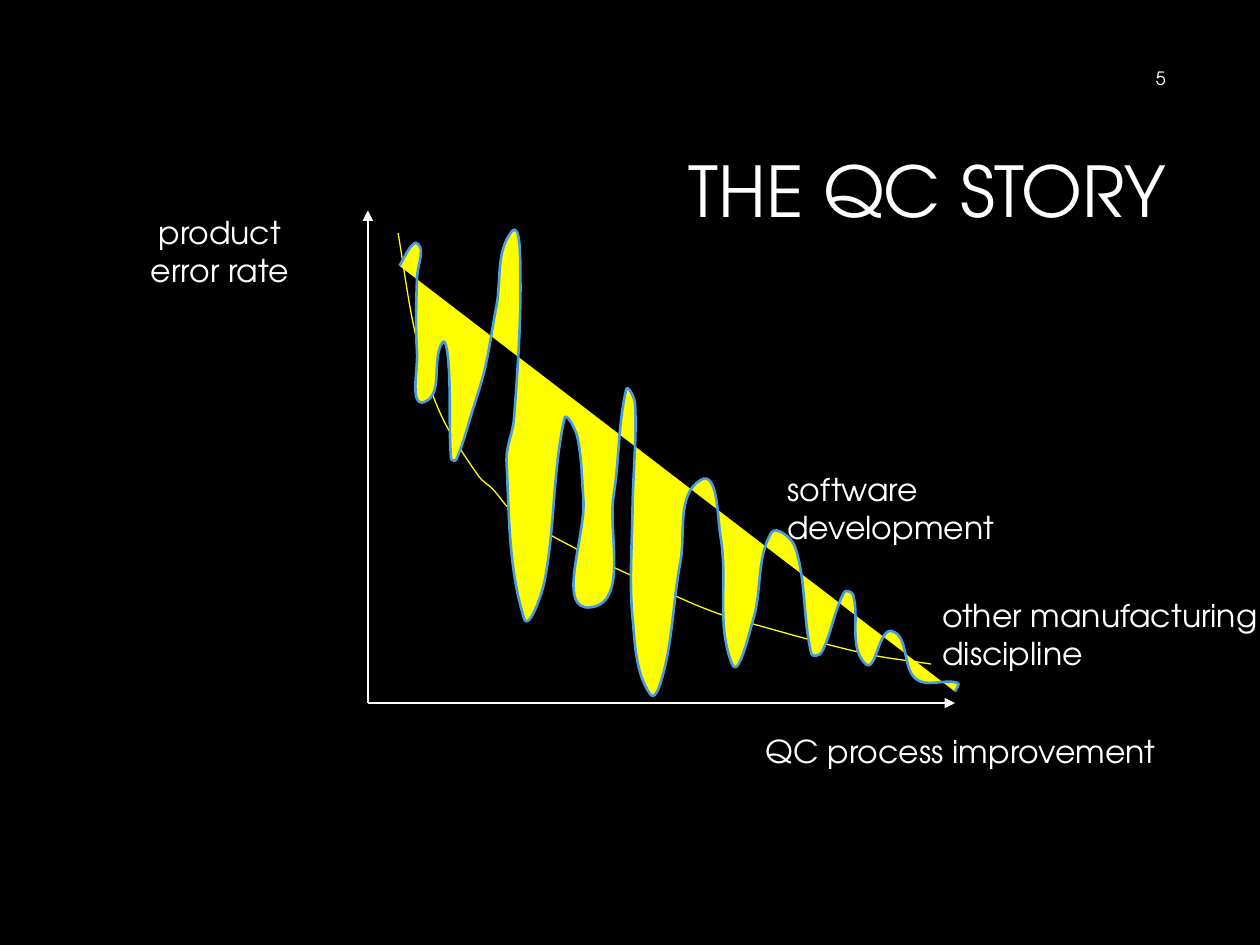
from math import dist

from lxml.etree import SubElement
from pptx import Presentation
from pptx.dml.color import RGBColor
from pptx.enum.shapes import MSO_CONNECTOR
from pptx.enum.text import MSO_ANCHOR, PP_ALIGN
from pptx.oxml.ns import qn
from pptx.util import Inches, Pt

BLACK = RGBColor(0x00, 0x00, 0x00)
WHITE = RGBColor(0xFF, 0xFF, 0xFF)
YELLOW = RGBColor(0xFF, 0xFF, 0x00)
BLUE = RGBColor(0x4A, 0x9B, 0xDC)
FONT = "TeX Gyre Adventor"

MANUFACTURING_CURVE = [
    (3.16, 1.85), (3.3, 2.66), (3.49, 3.27), (3.8, 3.78), (3.91, 3.88), (4.08, 4.07),
    (4.62, 4.38), (5.04, 4.58), (5.62, 4.84), (6.04, 4.97), (6.88, 5.19), (7.39, 5.27),
]
SOFTWARE_CURVE = [
    (3.17, 2.11), (3.29, 1.93), (3.34, 1.98), (3.31, 2.2), (3.31, 2.8), (3.37, 3.19),
    (3.51, 2.72), (3.56, 2.89), (3.58, 3.64), (3.62, 3.65), (3.75, 3.26), (3.85, 2.92),
    (3.94, 2.43), (4.06, 1.84), (4.13, 2.19), (4.08, 3.32), (4.02, 3.66), (4.16, 4.91),
    (4.32, 4.62), (4.48, 3.32), (4.58, 3.46), (4.63, 3.96), (4.69, 4.82), (4.87, 3.93),
    (4.97, 3.09), (5.04, 3.2), (5.02, 4.04), (5.02, 4.9), (5.16, 5.51), (5.28, 5.28),
    (5.4, 4.46), (5.56, 3.81), (5.72, 4.27), (5.81, 5.27), (5.98, 4.91), (6.12, 4.23),
    (6.31, 4.34), (6.44, 5.19), (6.52, 5.18), (6.7, 4.7), (6.77, 4.72), (6.87, 5.27),
    (7.08, 5.01), (7.27, 5.39), (7.6, 5.42), (7.58, 5.49),
]

presentation = Presentation()
presentation.slide_width = Inches(10)
presentation.slide_height = Inches(7.5)
slide = presentation.slides.add_slide(presentation.slide_layouts[6])
slide.background.fill.solid()
slide.background.fill.fore_color.rgb = BLACK


def add_label(lines, left, top, width, height, size=18, align=PP_ALIGN.LEFT,
              anchor=MSO_ANCHOR.TOP, wrap=True, spacing=None):
    box = slide.shapes.add_textbox(Inches(left), Inches(top), Inches(width), Inches(height))
    frame = box.text_frame
    frame.word_wrap = wrap
    frame.vertical_anchor = anchor
    frame.text = "\n".join(lines)
    for paragraph in frame.paragraphs:
        paragraph.alignment = align
        paragraph.line_spacing = spacing
        paragraph.font.name = FONT
        paragraph.font.size = Pt(size)
        paragraph.font.color.rgb = WHITE


def add_curve(points, line_color, line_width, fill_color=None):
    padded = [points[0], *points, points[-1]]
    vertices = []
    for before, start, end, after in zip(padded, padded[1:], padded[2:], padded[3:]):
        reach = dist(start, end) / 3
        leave = reach / dist(before, end)
        arrive = reach / dist(start, after)
        vertices += [
            [s + (e - b) * leave for b, s, e in zip(before, start, end)],
            [e - (a - s) * arrive for s, e, a in zip(start, end, after)],
            end,
        ]
    builder = slide.shapes.build_freeform(Inches(points[0][0]), Inches(points[0][1]))
    builder.add_line_segments([(Inches(x), Inches(y)) for x, y in vertices], close=False)
    shape = builder.convert_to_shape()
    shape.shadow.inherit = False
    shape.line.color.rgb = line_color
    shape.line.width = Pt(line_width)
    if fill_color is None:
        shape.fill.background()
    else:
        shape.fill.solid()
        shape.fill.fore_color.rgb = fill_color
    outline = next(shape.element.iter(qn("a:path")))
    segments = outline.findall(qn("a:lnTo"))
    for first in range(0, len(segments), 3):
        bezier = SubElement(outline, qn("a:cubicBezTo"))
        for segment in segments[first:first + 3]:
            bezier.append(segment[0])
            outline.remove(segment)


add_label(["THE QC STORY"], 2.38, 0.84, 6.97, 1.41, 40, PP_ALIGN.RIGHT,
          MSO_ANCHOR.MIDDLE, spacing=0.9)
add_label(["5"], 7.19, 0.42, 2.16, 0.4, 10.5, PP_ALIGN.RIGHT, MSO_ANCHOR.MIDDLE)

for end_x, end_y in [(7.58, 5.58), (2.92, 1.67)]:
    axis = slide.shapes.add_connector(
        MSO_CONNECTOR.STRAIGHT, Inches(2.92), Inches(5.58), Inches(end_x), Inches(end_y))
    axis.line.color.rgb = WHITE
    axis.line.width = Pt(0.75)
    properties = axis.element.spPr
    SubElement(properties.find(qn("a:ln")), qn("a:tailEnd"), type="triangle")
    SubElement(properties, qn("a:effectLst"))

add_label(["QC process improvement"], 5.98, 5.76, 3.35, 0.4, wrap=False)
add_curve(MANUFACTURING_CURVE, YELLOW, 0.75)
add_label(["other manufacturing", "discipline"], 7.38, 4.68, 2.81, 0.71, wrap=False)
add_curve(SOFTWARE_CURVE, BLUE, 1.5, YELLOW)
add_label(["software development"], 6.15, 3.68, 2.52, 0.4)
add_label(["product", "error rate"], 1.08, 1.64, 1.33, 0.71, align=PP_ALIGN.CENTER)

presentation.save("out.pptx")
